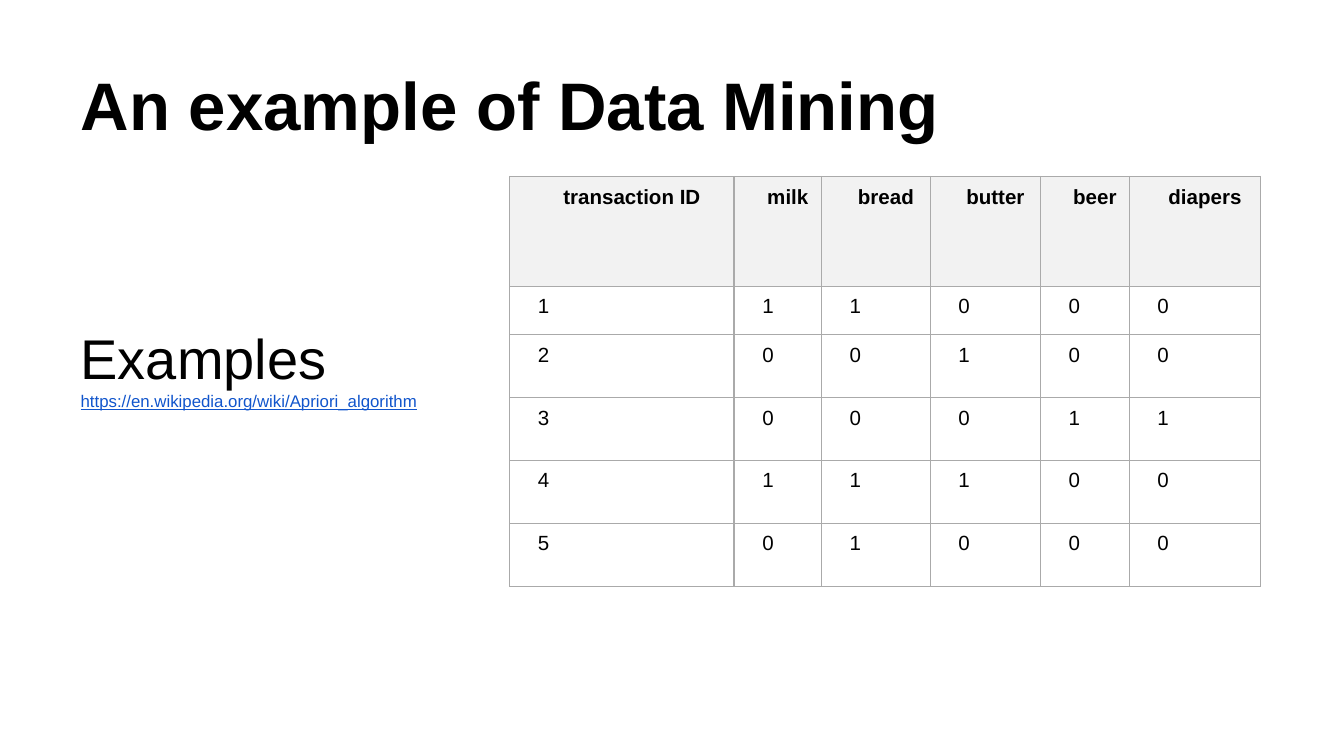
from lxml import etree
from pptx import Presentation
from pptx.dml.color import RGBColor
from pptx.enum.text import MSO_ANCHOR, MSO_AUTO_SIZE, PP_ALIGN
from pptx.oxml.ns import qn
from pptx.util import Emu, Inches, Pt

BLACK = RGBColor(0x00, 0x00, 0x00)
LINK_BLUE = RGBColor(0x11, 0x55, 0xCC)
HEADER_GREY = RGBColor(0xF2, 0xF2, 0xF2)
ROW_GREY = RGBColor(0xF9, 0xF9, 0xF9)
BORDER_GREY = RGBColor(0xAA, 0xAA, 0xAA)
LEFT, CENTER = PP_ALIGN.LEFT, PP_ALIGN.CENTER
TOP, BOTTOM = MSO_ANCHOR.TOP, MSO_ANCHOR.BOTTOM
NO_AUTOFIT = MSO_AUTO_SIZE.NONE

FONT = "Arial"
SLIDE_WIDTH = Inches(10)
SLIDE_HEIGHT = Emu(SLIDE_WIDTH * 9 // 16)
INSET = Inches(0.1)
CELL_INDENT = Inches(0.15)
BORDER_WIDTH = Pt(0.75)

COLUMN_SHARES = [167, 65, 81, 82, 66, 98]
ROW_SHARES = [82, 36, 47, 47, 47, 47]
ITEMS = ["transaction ID", "milk", "bread", "butter", "beer", "diapers"]
PURCHASES = ["11000", "00100", "00011", "11100", "01000"]


def region(left, top, width, height):
    """Turn percentages of the slide into a box of lengths."""
    return (
        Emu(int(left * SLIDE_WIDTH / 100)),
        Emu(int(top * SLIDE_HEIGHT / 100)),
        Emu(int(width * SLIDE_WIDTH / 100)),
        Emu(int(height * SLIDE_HEIGHT / 100)),
    )


def style_paragraph(paragraph, size, color=BLACK, bold=False, align=LEFT):
    """Set the alignment and font of one paragraph."""
    paragraph.alignment = align
    font = paragraph.font
    font.name, font.size, font.bold = FONT, Pt(size), bold
    font.color.rgb = color


def place_frame(placeholder, box, anchor):
    """Move a placeholder into its box and return its text frame."""
    placeholder.left, placeholder.top, placeholder.width, placeholder.height = box
    frame = placeholder.text_frame
    frame.word_wrap = True
    frame.auto_size = NO_AUTOFIT
    frame.vertical_anchor = anchor
    frame.margin_left = frame.margin_right = INSET
    frame.margin_top = frame.margin_bottom = INSET
    return frame


def fill_title(placeholder, box):
    """Write the heading at the foot of its box."""
    frame = place_frame(placeholder, box, BOTTOM)
    frame.text = "An example of Data Mining"
    style_paragraph(frame.paragraphs[0], 36, bold=True)


def fill_examples(placeholder, box):
    """Write the label and its web address beside the table."""
    frame = place_frame(placeholder, box, TOP)
    frame.margin_top = Emu(int(box[3] * 0.27))
    frame.text = "Examples\nhttps://en.wikipedia.org/wiki/Apriori_algorithm"
    label, address = frame.paragraphs
    for paragraph in (label, address):
        properties = paragraph._p.get_or_add_pPr()
        properties.set("marL", "0")
        properties.set("indent", "0")
        etree.SubElement(properties, qn("a:buNone"))
        paragraph.space_before = Pt(0)
    style_paragraph(label, 30)
    style_paragraph(address, 9, LINK_BLUE)
    address.font.underline = True


def draw_borders(cell):
    """Draw a thin grey line on each side of a cell."""
    properties = cell._tc.get_or_add_tcPr()
    for side in ("lnL", "lnR", "lnT", "lnB"):
        line = etree.SubElement(properties, qn(f"a:{side}"), w=str(int(BORDER_WIDTH)))
        solid = etree.SubElement(line, qn("a:solidFill"))
        etree.SubElement(solid, qn("a:srgbClr"), val=str(BORDER_GREY))


def shade_cell(cell, is_header):
    """Fill a header cell with grey and leave the others clear."""
    cell.fill.solid()
    cell.fill.fore_color.rgb = HEADER_GREY if is_header else ROW_GREY
    if not is_header:
        color = cell._tc.tcPr.find(qn("a:solidFill")).find(qn("a:srgbClr"))
        etree.SubElement(color, qn("a:alpha"), val="0")


def fill_cell(cell, value, is_header):
    """Write one value and format its cell."""
    draw_borders(cell)
    shade_cell(cell, is_header)
    cell.margin_left = cell.margin_right = Inches(0.06)
    cell.margin_top = cell.margin_bottom = Inches(0.03)
    cell.vertical_anchor = TOP
    cell.text = value
    paragraph = cell.text_frame.paragraphs[0]
    paragraph._p.get_or_add_pPr().set("marL", str(int(CELL_INDENT)))
    paragraph.line_spacing = 1.22
    style_paragraph(paragraph, 11, bold=is_header, align=CENTER if is_header else LEFT)


def add_transactions(slide, box):
    """Add the table of transactions, its grid shared out over the box."""
    rows = [ITEMS] + [[str(number), *bought] for number, bought in enumerate(PURCHASES, 1)]
    table = slide.shapes.add_table(len(rows), len(ITEMS), *box).table
    table.horz_banding = False
    for column, share in zip(table.columns, COLUMN_SHARES):
        column.width = Emu(box[2] * share // sum(COLUMN_SHARES))
    for row, share in zip(table.rows, ROW_SHARES):
        row.height = Emu(box[3] * share // sum(ROW_SHARES))
    for row_index, values in enumerate(rows):
        for column_index, value in enumerate(values):
            fill_cell(table.cell(row_index, column_index), value, row_index == 0)


def main():
    """Build the slide and save it."""
    presentation = Presentation()
    presentation.slide_width, presentation.slide_height = SLIDE_WIDTH, SLIDE_HEIGHT
    slide = presentation.slides.add_slide(presentation.slide_layouts[1])
    fill_title(slide.shapes.title, region(5, 4.1, 90, 16.7))
    fill_examples(slide.placeholders[1], region(5, 23.3, 90, 72.4))
    add_transactions(slide, region(37.92, 23.35, 55.9, 54.2))
    presentation.save("out.pptx")


if __name__ == "__main__":
    main()
